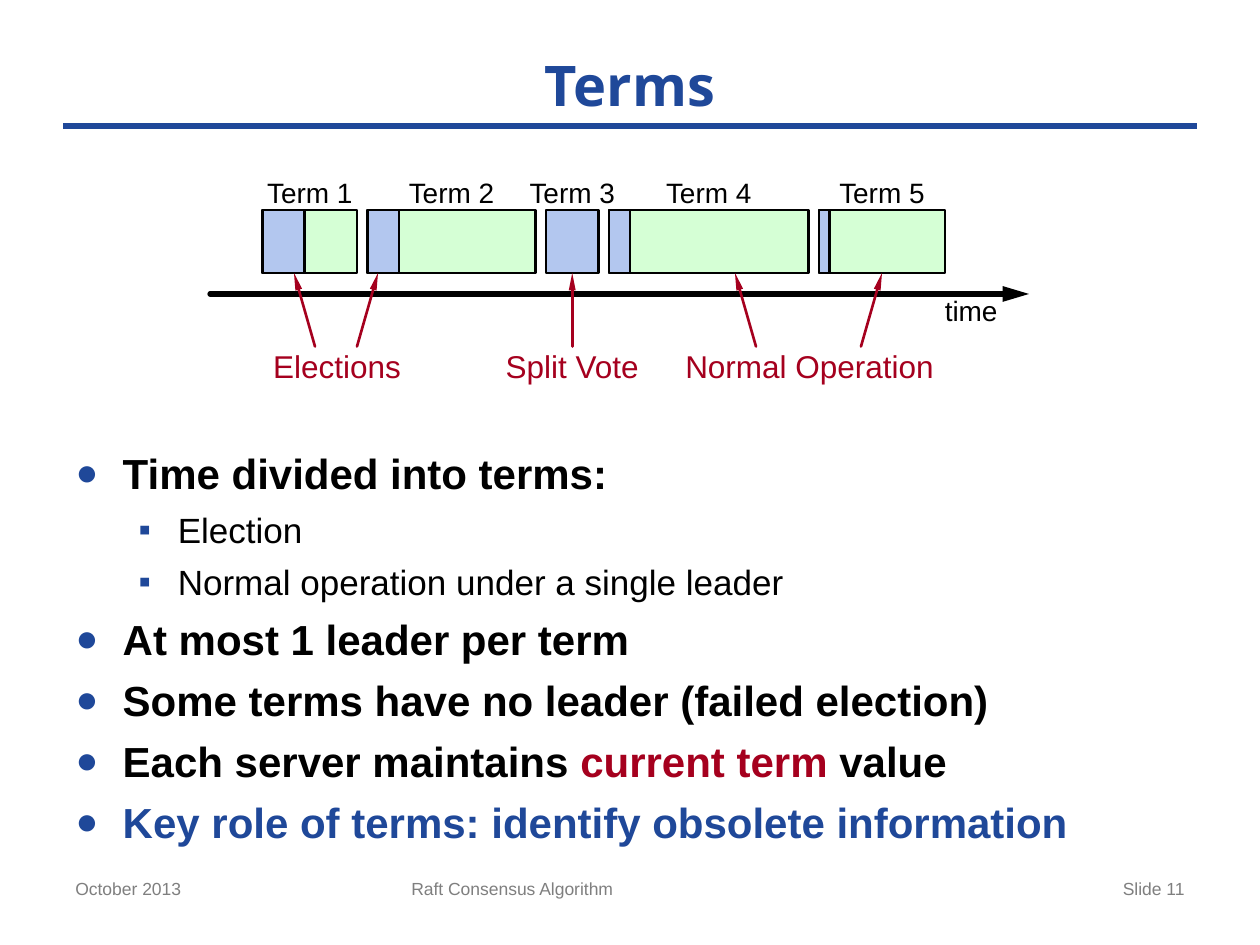
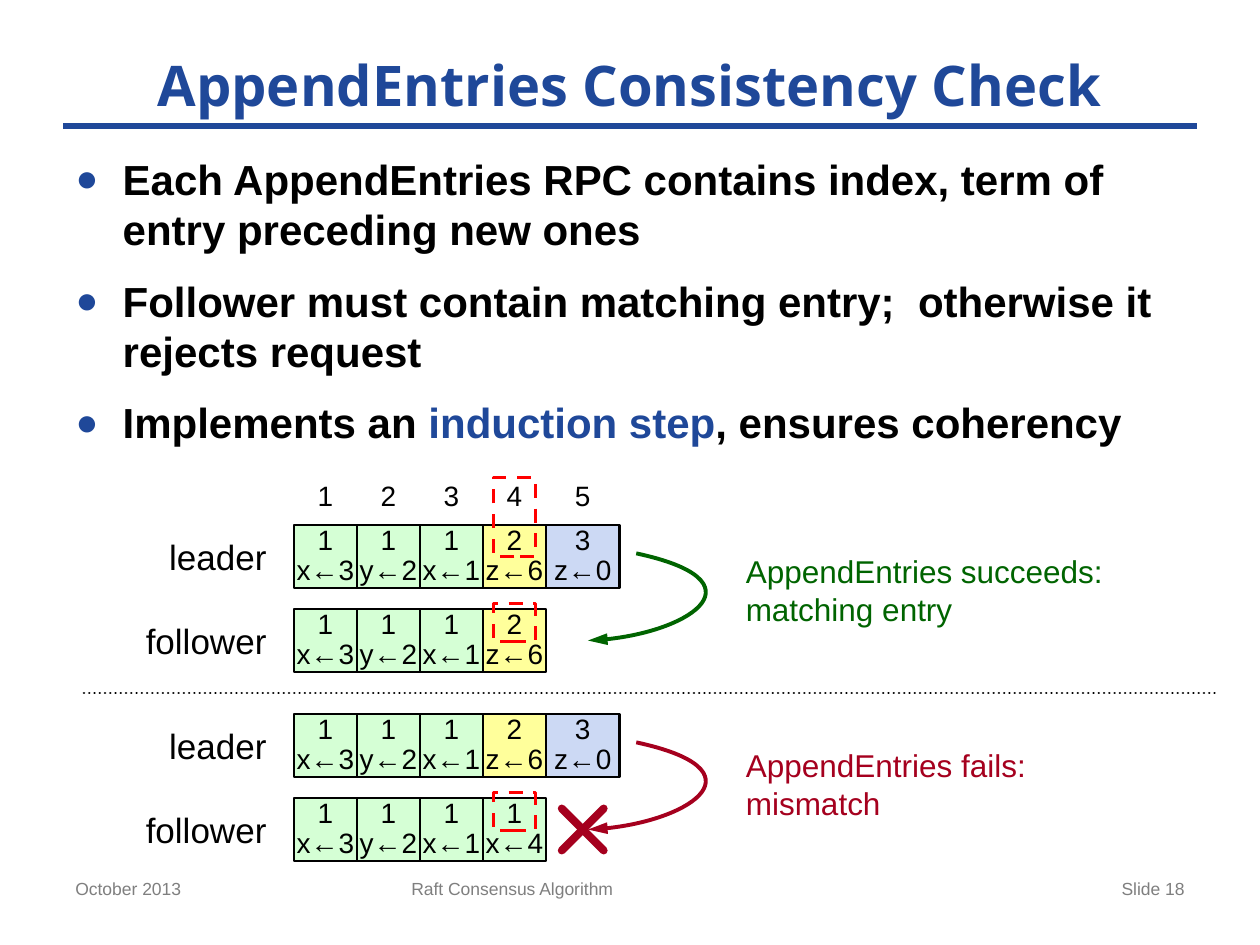
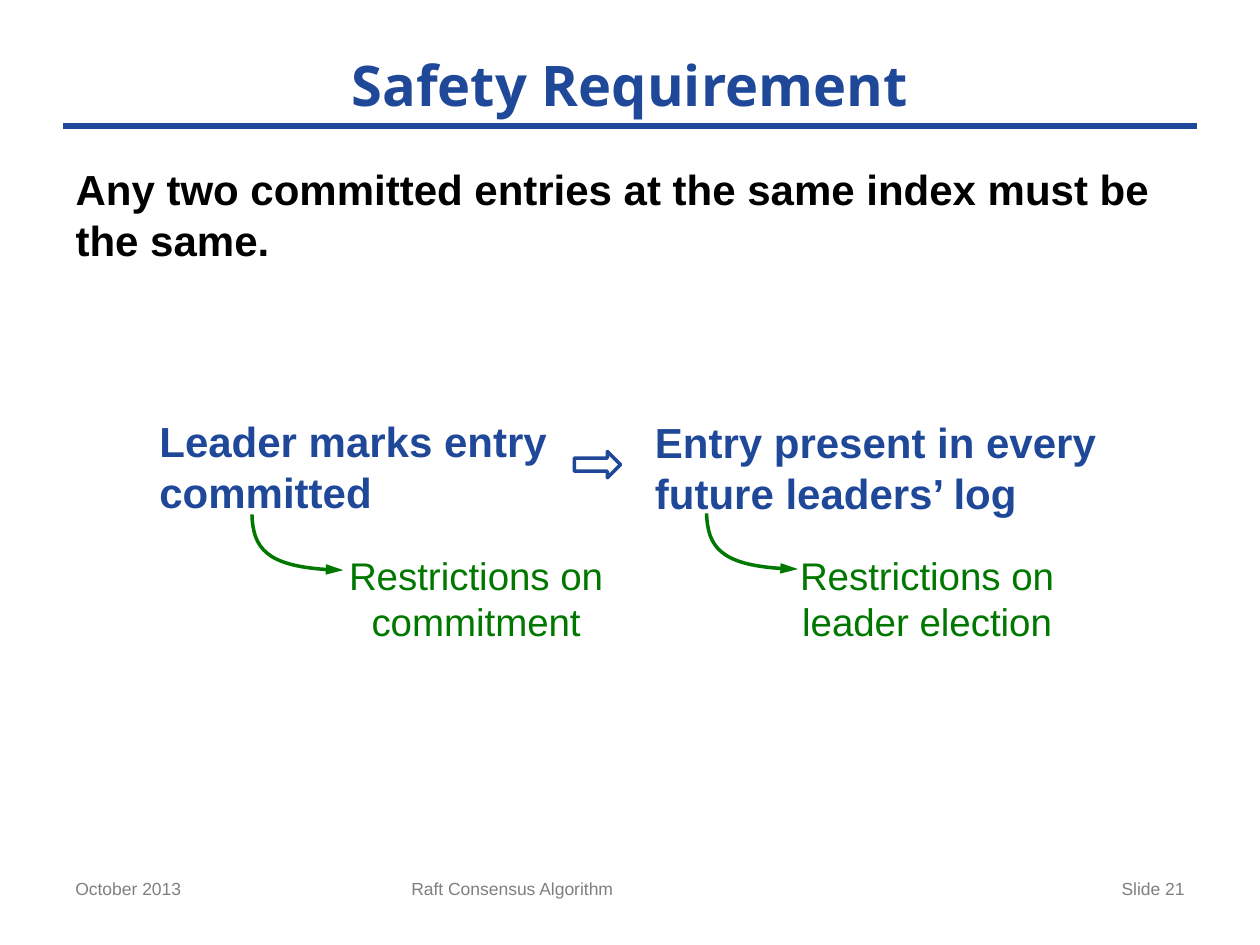
from dataclasses import dataclass

from lxml.etree import SubElement
from pptx import Presentation
from pptx.dml.color import RGBColor
from pptx.enum.dml import MSO_LINE
from pptx.enum.shapes import MSO_CONNECTOR, MSO_SHAPE
from pptx.enum.text import MSO_ANCHOR, MSO_AUTO_SIZE, PP_ALIGN
from pptx.oxml.ns import qn
from pptx.util import Cm, Pt


@dataclass(frozen=True)
class Theme:
    """Colours, fonts and type sizes shared by the slides."""
    black: str = "000000"
    white: str = "FFFFFF"
    blue: str = "1F4899"
    crimson: str = "A5001E"
    red: str = "FF0000"
    dark_green: str = "006400"
    green: str = "007800"
    gray: str = "7F7F7F"
    election: str = "B3C7EF"
    pale_green: str = "D5FFD5"
    pale_yellow: str = "FFFF9B"
    pale_blue: str = "CCD9F4"
    title_font: str = "Open Sans"
    body_font: str = "Arial"
    title: int = 32
    body: int = 24
    remark: int = 22
    sub_body: int = 20
    note: int = 18
    label: int = 16
    footer: int = 10


THEME = Theme()
GRID_CM = 2.54 / 12  # every slide is laid out on a grid of 120 by 90 steps
LABEL_HEIGHT = 3.2
CENTER, LEFT, RIGHT = PP_ALIGN.CENTER, PP_ALIGN.LEFT, PP_ALIGN.RIGHT
# level: (left margin, hanging indent, bullet, bullet size %, type size, bold)
BULLETS = (
    (0.95, 0.95, "\u25cf", 90, THEME.body, True),
    (2.06, 0.79, "\u25aa", 100, THEME.sub_body, False),
)


def grid(steps):
    """Turn grid steps into a length."""
    return Cm(steps * GRID_CM)


def assign(target, values):
    """Set attributes of an object from a dict."""
    for name, value in values.items():
        setattr(target, name, value)


def place(shape, box):
    """Move a shape to a (left, top, width, height) box of grid steps."""
    assign(shape, dict(zip(("left", "top", "width", "height"), map(grid, box))))


def style_run(run, size, color, bold=False, font=THEME.body_font):
    """Format one run of text."""
    assign(run.font, {"size": Pt(size), "bold": bold, "name": font})
    run.font.color.rgb = RGBColor.from_string(color)


def write(frame, text, size, color, align=LEFT, bold=False, font=THEME.body_font,
          spacing=None):
    """Fill a text frame; \\n starts a paragraph and \\v breaks a line."""
    frame.text = text
    for paragraph in frame.paragraphs:
        assign(paragraph, {"alignment": align, "line_spacing": spacing})
        for run in paragraph.runs:
            style_run(run, size, color, bold, font)


def set_margins(frame, margin):
    """Give a text frame the same margin on all sides."""
    assign(frame, {f"margin_{side}": margin for side in ("left", "top", "right", "bottom")})


def add_text(slide, box, text, size, color, align=LEFT, bold=False, tight=False, wrap=False):
    """Add a text box, without margins if tight."""
    frame = slide.shapes.add_textbox(*map(grid, box)).text_frame
    assign(frame, {
        "word_wrap": wrap,
        "auto_size": MSO_AUTO_SIZE.NONE if wrap else MSO_AUTO_SIZE.SHAPE_TO_FIT_TEXT,
    })
    if tight:
        set_margins(frame, 0)
    write(frame, text, size, color, align, bold)


def add_label(slide, center, top, width, text, size=THEME.label, color=THEME.black):
    """Add a tight one-line label centred on a grid column."""
    box = (center - width / 2, top, width, LABEL_HEIGHT)
    add_text(slide, box, text, size, color, CENTER, tight=True)


def style_line(shape, color, width, dash=None, arrow=None):
    """Format an outline, optionally dashed or with an arrowhead of a width code."""
    line = shape.line
    line.color.rgb = RGBColor.from_string(color)
    line.width = Pt(width)
    if dash:
        line.dash_style = dash
    if arrow:
        SubElement(line._get_or_add_ln(), qn("a:tailEnd"), type="triangle", w=arrow, len="lg")


def add_line(shapes, start, end, color, width, dash=None, arrow=None, cap="rnd"):
    """Add a straight connector between two grid points."""
    connector = shapes.add_connector(MSO_CONNECTOR.STRAIGHT, *map(grid, (*start, *end)))
    style_line(connector, color, width, dash, arrow)
    connector.line._get_or_add_ln().set("cap", cap)
    SubElement(connector._element.spPr, qn("a:effectLst"))
    return connector


def add_block(slide, box, fill=None, outline=THEME.black, width=1.5, dash=None,
              kind=MSO_SHAPE.RECTANGLE):
    """Add a preset shape; without a fill colour it is hollow."""
    shape = slide.shapes.add_shape(kind, *map(grid, box))
    shape.shadow.inherit = False
    if fill:
        shape.fill.solid()
        shape.fill.fore_color.rgb = RGBColor.from_string(fill)
    else:
        shape.fill.background()
    style_line(shape, outline, width, dash)
    return shape


def add_curve(slide, points, color, width):
    """Add a cubic curve with an arrowhead from four grid points."""
    points = [(grid(x), grid(y)) for x, y in points]
    samples = []
    for step in range(1, 21):
        t = step / 20
        weights = ((1 - t) ** 3, 3 * t * (1 - t) ** 2, 3 * t * t * (1 - t), t ** 3)
        samples.append(tuple(
            round(sum(weight * point[axis] for weight, point in zip(weights, points)))
            for axis in (0, 1)))
    builder = slide.shapes.build_freeform(*points[0])
    builder.add_line_segments(samples, close=False)
    shape = builder.convert_to_shape()
    # The samples gave the exact bounds; one true curve now takes their place.
    outline = shape._element.find(".//" + qn("a:path"))
    for segment in outline.findall(qn("a:lnTo")):
        outline.remove(segment)
    curve = SubElement(outline, qn("a:cubicBezTo"))
    for x, y in points[1:]:
        SubElement(curve, qn("a:pt"), x=str(x - shape.left), y=str(y - shape.top))
    shape.shadow.inherit = False
    shape.fill.background()
    style_line(shape, color, width, arrow="med")


def set_bullet(paragraph, level):
    """Give a paragraph the bullet and indent of its level, or none."""
    properties = paragraph._p.get_or_add_pPr()
    if level is None:
        properties.set("marL", "0")
        properties.set("indent", "0")
        SubElement(properties, qn("a:buNone"))
        return
    margin, hanging, character, percent, _, _ = BULLETS[level]
    properties.set("marL", str(Cm(margin)))
    properties.set("indent", str(-Cm(hanging)))
    color = SubElement(properties, qn("a:buClr"))
    SubElement(color, qn("a:srgbClr"), val=THEME.blue)
    SubElement(properties, qn("a:buSzPct"), val=str(percent * 1000))
    SubElement(properties, qn("a:buFont"), typeface=THEME.body_font)
    SubElement(properties, qn("a:buChar"), char=character)


def fill_body(slide, box, items):
    """Fill the body with (level, space before, ((text, colour), ...)) items."""
    body = slide.placeholders[1]
    place(body, box)
    frame = body.text_frame
    frame.auto_size = MSO_AUTO_SIZE.NONE
    for index, (level, space, runs) in enumerate(items):
        paragraph = frame.add_paragraph() if index else frame.paragraphs[0]
        assign(paragraph, {"level": level or 0, "space_before": Pt(space), "space_after": Pt(0)})
        set_bullet(paragraph, level)
        size, bold = BULLETS[level or 0][4:]
        for text, color in runs:
            run = paragraph.add_run()
            run.text = text
            style_run(run, size, color, bold)


def add_slide(presentation, title, number):
    """Add a slide with its title and footers."""
    slide = presentation.slides.add_slide(presentation.slide_layouts[1])
    place(slide.shapes.title, (6, 4, 108, 8))
    frame = slide.shapes.title.text_frame
    assign(frame, {"vertical_anchor": MSO_ANCHOR.MIDDLE, "auto_size": MSO_AUTO_SIZE.NONE})
    write(frame, title, THEME.title, THEME.blue, CENTER, True, THEME.title_font)
    for left, width, text, align in (
        (6, 28, "October 2013", LEFT),
        (38, 45, "Raft Consensus Algorithm", LEFT),
        (86, 28, f"Slide {number}", RIGHT),
    ):
        add_text(slide, (left, 83, width, 5.2), text, THEME.footer, THEME.gray, align, wrap=True)
    return slide


def add_title_rule(presentation, slide):
    """Draw the rule under the titles and hand it to the slide master."""
    rule = add_line(slide.shapes, (6, 12), (114, 12), THEME.blue, 4, cap="flat")
    presentation.slide_master.shapes._spTree.append(rule._element)


def add_timeline(slide):
    """Draw the five terms over the time axis, with their callouts."""
    add_line(slide.shapes, (20, 28), (98, 28), THEME.black, 3, arrow="med")
    add_label(slide, 92.5, 28, 6, "time")
    left = 25
    terms = ((9, 4), (16, 3), (5, 5), (19, 2), (12, 1))  # whole term, its election
    for number, (width, election) in enumerate(terms, 1):
        if election < width:
            add_block(slide, (left, 20, width, 6), THEME.pale_green)
        add_block(slide, (left, 20, election, 6), THEME.election)
        add_label(slide, left + width / 2, 16.75, 8.5, f"Term {number}")
        left += width + 1
    for start, end in ((30, 28), (34, 36), (54.5, 54.5), (72, 70), (82, 84)):
        add_line(slide.shapes, (start, 33), (end, 26), THEME.crimson, 1.5, arrow="sm")
    for center, width, text in (
        (32.1, 12.5, "Elections"), (54.5, 13, "Split Vote"), (77.1, 24, "Normal Operation"),
    ):
        add_label(slide, center, 33, width, text, THEME.note, THEME.crimson)


def add_log(slide, name, top, entries):
    """Draw a named row of log entries given as (term, command)."""
    fills = {1: THEME.pale_green, 2: THEME.pale_yellow, 3: THEME.pale_blue}
    add_text(slide, (13.4, top + 1, 12, 4.1), name, THEME.sub_body, THEME.black,
             RIGHT, tight=True)
    for index, (term, command) in enumerate(entries):
        cell = add_block(slide, (28 + 6 * index, top, 7 if index == 4 else 6, 6), fills[term])
        frame = cell.text_frame
        set_margins(frame, 0)
        frame.vertical_anchor = MSO_ANCHOR.MIDDLE
        write(frame, f"{term}\v{command}", THEME.label, THEME.black, CENTER, spacing=Pt(17))


def add_log_pair(slide, top, follower_entry, color, verdict, verdict_box):
    """Draw a leader log, a follower log and the outcome of the check."""
    shared = [(1, "x\u21903"), (1, "y\u21902"), (1, "x\u21901")]
    add_log(slide, "leader", top, shared + [(2, "z\u21906"), (3, "z\u21900")])
    add_log(slide, "follower", top + 8, shared + [follower_entry])
    curve = ((60.6, 2.7), (72.7, 5.3), (65.2, 10.7), (56, 11))
    add_curve(slide, [(x, top + y) for x, y in curve], color, 2.25)
    add_text(slide, verdict_box, verdict, THEME.note, color)


def build_terms(presentation):
    """Build the slide on terms."""
    slide = add_slide(presentation, "Terms", 11)
    add_title_rule(presentation, slide)
    black, blue, crimson = THEME.black, THEME.blue, THEME.crimson
    fill_body(slide, (6, 42, 108, 38.4), (
        (0, 12, (("Time divided into terms:", black),)),
        (1, 6, (("Election", black),)),
        (1, 6, (("Normal operation under a single leader", black),)),
        (0, 6, (("At most 1 leader per term", black),)),
        (0, 6, (("Some terms have no leader (failed election)", black),)),
        (0, 6, (("Each server maintains ", black), ("current term ", crimson), ("value", black))),
        (0, 6, (("Key role of terms: identify obsolete information", blue),)),
    ))
    add_timeline(slide)


def build_consistency_check(presentation):
    """Build the slide on the AppendEntries check."""
    slide = add_slide(presentation, "AppendEntries Consistency Check", 18)
    black = THEME.black
    fill_body(slide, (6, 14, 108, 32), (
        (0, 12, (("Each AppendEntries RPC contains index, term of entry preceding new ones",
                  black),)),
        (0, 12, (("Follower must contain matching entry;  otherwise it rejects request", black),)),
        (0, 12, (("Implements an ", black), ("induction step", THEME.blue),
                 (", ensures coherency", black))),
    ))
    for index in range(5):
        add_text(slide, (28 + 6 * index, 45, 7 if index == 4 else 6, 4.4), str(index + 1),
                 THEME.label, black, CENTER)
    add_log_pair(slide, 50, (2, "z\u21906"), THEME.dark_green,
                 "AppendEntries succeeds:\nmatching entry", (69.85, 52, 36.7, 8.5))
    add_log_pair(slide, 68, (1, "x\u21904"), THEME.crimson,
                 "AppendEntries fails:\nmismatch", (69.85, 70.5, 29.4, 8.5))
    cross = slide.shapes.add_group_shape().shapes
    for start, end in ((77, 81), (81, 77)):
        add_line(cross, (53.5, start), (57.5, end), THEME.crimson, 4.5)
    add_line(slide.shapes, (8, 66), (116, 66), black, 1.5, MSO_LINE.ROUND_DOT)
    for top, height in ((45.5, 7.5), (57.5, 3.6), (75.5, 3.6)):
        add_block(slide, (47, top, 4, height), None, THEME.red, 2, MSO_LINE.DASH)


def build_safety(presentation):
    """Build the slide on the safety requirement."""
    slide = add_slide(presentation, "Safety Requirement", 21)
    fill_body(slide, (6, 15, 108, 54), (
        (None, 12, (("Any two committed entries at the same index must be the same.",
                     THEME.black),)),
    ))
    for box, text in (
        ((14, 39, 39.7, 10.9), "Leader marks entry\ncommitted"),
        ((61.2, 39.1, 44.9, 10.9), "Entry present in every\nfuture leaders\u2019 log"),
    ):
        add_text(slide, box, text, THEME.body, THEME.blue, bold=True)
    add_block(slide, (54.7, 43, 4.4, 2.5), THEME.white, THEME.blue, 2,
              kind=MSO_SHAPE.RIGHT_ARROW)
    for left, top, remark_left, text in (
        (24, 49, 31.9, "Restrictions on\vcommitment"),
        (67.3, 48.9, 74.85, "Restrictions on\vleader election"),
    ):
        curve = ((0, 0), (0.1, 3.2), (1.6, 5.2), (8.7, 5.3))
        add_curve(slide, [(left + x, top + y) for x, y in curve], THEME.green, 2)
        add_text(slide, (remark_left, 51.95, 26.9, 10.1), text, THEME.remark, THEME.green, CENTER)


def main():
    """Build and save the presentation."""
    presentation = Presentation()
    assign(presentation, {"slide_width": grid(120), "slide_height": grid(90)})
    build_terms(presentation)
    build_consistency_check(presentation)
    build_safety(presentation)
    presentation.save("out.pptx")


main()
